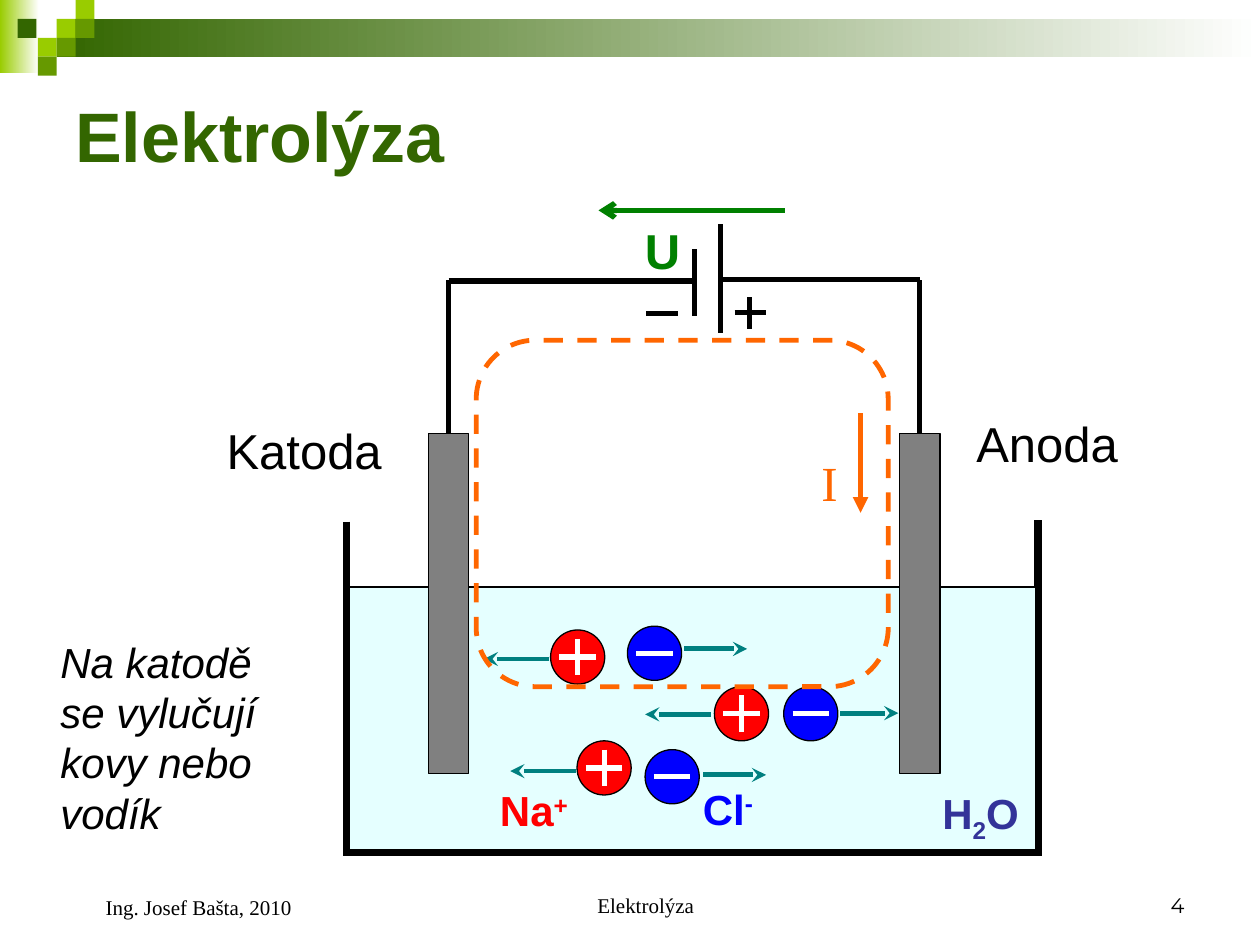
from lxml.etree import SubElement
from pptx import Presentation
from pptx.dml.color import RGBColor
from pptx.enum.dml import MSO_LINE
from pptx.enum.shapes import MSO_CONNECTOR, MSO_SHAPE
from pptx.enum.text import MSO_ANCHOR, PP_ALIGN
from pptx.oxml.ns import qn
from pptx.util import Inches, Pt

BLACK = RGBColor(0x00, 0x00, 0x00)
WHITE = RGBColor(0xFF, 0xFF, 0xFF)
LIME = RGBColor(0x99, 0xCC, 0x00)
OLIVE = RGBColor(0x66, 0x99, 0x00)
FOREST = RGBColor(0x33, 0x66, 0x00)
GREEN = RGBColor(0x00, 0x80, 0x00)
TEAL = RGBColor(0x00, 0x80, 0x80)
WATER = RGBColor(0xE5, 0xFF, 0xFF)
INDIGO = RGBColor(0x33, 0x33, 0x99)
RED = RGBColor(0xFF, 0x00, 0x00)
BLUE = RGBColor(0x00, 0x00, 0xFF)
GRAY = RGBColor(0x80, 0x80, 0x80)
ORANGE = RGBColor(0xFF, 0x66, 0x00)

prs = Presentation()
prs.slide_width = Inches(10)
prs.slide_height = Inches(7.5)
COL = prs.slide_width / 100
ROW = prs.slide_height / 75
s = prs.slides.add_slide(prs.slide_layouts[6])


def add_shape(kind, x, y, w, h, fill=None, line=None, width=0.75):
    sp = s.shapes.add_shape(kind, int(x * COL), int(y * ROW), int(w * COL), int(h * ROW))
    sp.shadow.inherit = False
    if fill is None:
        sp.fill.background()
    else:
        sp.fill.solid()
        sp.fill.fore_color.rgb = fill
    if line is None:
        sp.line.fill.background()
    else:
        sp.line.color.rgb = line
        sp.line.width = Pt(width)
    return sp


def add_line(x1, y1, x2, y2, color=BLACK, width=3, arrow=None):
    c = s.shapes.add_connector(MSO_CONNECTOR.STRAIGHT, int(x1 * COL), int(y1 * ROW),
                               int(x2 * COL), int(y2 * ROW))
    c.line.color.rgb = color
    c.line.width = Pt(width)
    if arrow:
        SubElement(c.line._get_or_add_ln(), qn("a:tailEnd"), type=arrow)
    SubElement(c._element.spPr, qn("a:effectLst"))


for x, y, w, h, color in [(0, 0, 3.1, 5.8, LIME), (4.5, 1.5, 95.5, 3, FOREST)]:
    sp = add_shape(MSO_SHAPE.RECTANGLE, x, y, w, h, WHITE)
    sp.fill.gradient()
    sp.fill.gradient_angle = 0
    for stop, stop_color, place in zip(sp.fill.gradient_stops, (color, WHITE), (0, 1)):
        stop.color.rgb = stop_color
        stop.position = place

TILE = 1.5
for x, y, color in [(3, 1, LIME), (4, 0, LIME), (4, 1, OLIVE), (2, 2, LIME),
                    (0.93, 1, FOREST), (3, 2, OLIVE), (2, 3, OLIVE)]:
    add_shape(MSO_SHAPE.RECTANGLE, x * TILE, y * TILE, TILE, TILE, color)

add_line(27.5, 41.4, 27.5, 67.9, width=4.5)
add_line(82.4, 41.3, 82.4, 67.8, width=4.5)
add_line(27.6, 67.6, 82.7, 67.6, width=4.5)
add_shape(MSO_SHAPE.RECTANGLE, 27.7, 46.6, 54.5, 20.8, WATER, BLACK)

ION = 4.3
BAR = 2.9
for x, y, positive in [(43.7, 50, True), (49.8, 49.7, False), (56.7, 54.5, True),
                       (62.2, 54.5, False), (45.8, 58.8, True), (51.2, 59.5, False)]:
    add_shape(MSO_SHAPE.OVAL, x, y, ION, ION, RED if positive else BLUE, BLACK)
    cx, cy = x + ION / 2, y + ION / 2
    add_line(cx - BAR / 2, cy, cx + BAR / 2, cy, WHITE)
    if positive:
        add_line(cx, cy - BAR / 2, cx, cy + BAR / 2, WHITE)

for x in (73, 35.6):
    add_line(x, 35.1, x, 22.2)
    add_shape(MSO_SHAPE.RECTANGLE, x - 1.6, 34.4, 3.2, 27, GRAY, BLACK)

for x1, x2, y in [(54.3, 59.3, 51.5), (66.7, 71.3, 56.6), (55.8, 60.8, 61.5),
                  (43.6, 38.4, 52.3), (45.7, 40.5, 61.2), (56.4, 51.2, 56.7)]:
    add_line(x1, y, x2, y, TEAL, 2.75, "stealth")

for x1, y1, x2, y2 in [(57.2, 22.2, 73, 22.2), (35.6, 22.3, 55.2, 22.3),
                       (57.2, 17.8, 57.2, 26.4), (55.1, 19.8, 55.1, 25.1),
                       (58.3, 24.8, 60.8, 24.8), (59.5, 23.6, 59.5, 26.1),
                       (51.3, 24.9, 53.8, 24.9)]:
    add_line(x1, y1, x2, y2)
add_line(62.3, 16.7, 47.5, 16.7, GREEN, 3, "arrow")

loop = add_shape(MSO_SHAPE.ROUNDED_RECTANGLE, 37.8, 27, 32.7, 27.5, None, ORANGE, 2.75)
loop.adjustments[0] = 0.17
loop.line.dash_style = MSO_LINE.DASH
add_line(68.3, 32.8, 68.3, 40.7, ORANGE, 3, "triangle")

TOP, MIDDLE, BOTTOM = MSO_ANCHOR.TOP, MSO_ANCHOR.MIDDLE, MSO_ANCHOR.BOTTOM
LEFT, CENTER, RIGHT = PP_ALIGN.LEFT, PP_ALIGN.CENTER, PP_ALIGN.RIGHT
ARIAL, TIMES = "Arial", "Times New Roman"
texts = [
    (5, 5, 90, 11.3, [("Elektrolýza", 0)], ARIAL, 40, FOREST, "b", MIDDLE, LEFT, 0),
    (73.8, 62, 9.8, 5.6, [("H", 0), ("2", -25), ("O", 0)], ARIAL, 24, INDIGO, "b", TOP, LEFT, 0),
    (38.7, 61.8, 9, 5, [("Na", 0), ("+", 30)], ARIAL, 24, RED, "b", TOP, LEFT, 0),
    (54.8, 61.7, 9, 5, [("Cl", 0), ("-", 30)], ARIAL, 24, BLUE, "b", TOP, LEFT, 0),
    (76.5, 32.3, 15.2, 5.7, [("Anoda", 0)], ARIAL, 28, BLACK, "", TOP, LEFT, 0),
    (17, 32.9, 15.2, 5.7, [("Katoda", 0)], ARIAL, 28, BLACK, "", TOP, LEFT, 0),
    (50.2, 17, 5, 5.7, [("U", 0)], ARIAL, 28, GREEN, "b", TOP, LEFT, 0),
    (64.2, 35.4, 2.8, 5.7, [("I", 0)], TIMES, 28, ORANGE, "", TOP, LEFT, 0),
    (3.8, 50, 18.8, 17, [("Na katodě se vylučují kovy nebo vodík", 0)],
     ARIAL, 24, BLACK, "i", TOP, LEFT, 0),
    (34.2, 68.3, 31.7, 5, [("Elektrolýza", 0)], TIMES, 12, BLACK, "", BOTTOM, CENTER, 2.4),
    (71.7, 68.3, 23.3, 5, [("4", 0)], "Montserrat", 12, BLACK, "", BOTTOM, RIGHT, 0),
    (5, 68.3, 23.3, 5.2, [("Ing. Josef Bašta, 2010", 0)], TIMES, 12, BLACK, "", BOTTOM, LEFT, 2.4),
]
for x, y, w, h, runs, font, size, color, style, anchor, align, margin in texts:
    tb = s.shapes.add_textbox(int(x * COL), int(y * ROW), int(w * COL), int(h * ROW))
    tf = tb.text_frame
    tf.word_wrap = True
    tf.vertical_anchor = anchor
    p = tf.paragraphs[0]
    p.alignment = align
    p._p.get_or_add_pPr().set("marL", str(int(margin * COL)))
    p.font.name = font
    p.font.size = Pt(size)
    p.font.color.rgb = color
    p.font.bold = style == "b"
    p.font.italic = style == "i"
    for text, shift in runs:
        r = p.add_run()
        r.text = text
        if shift:
            r.font._element.set("baseline", str(shift * 1000))

prs.save("out.pptx")
